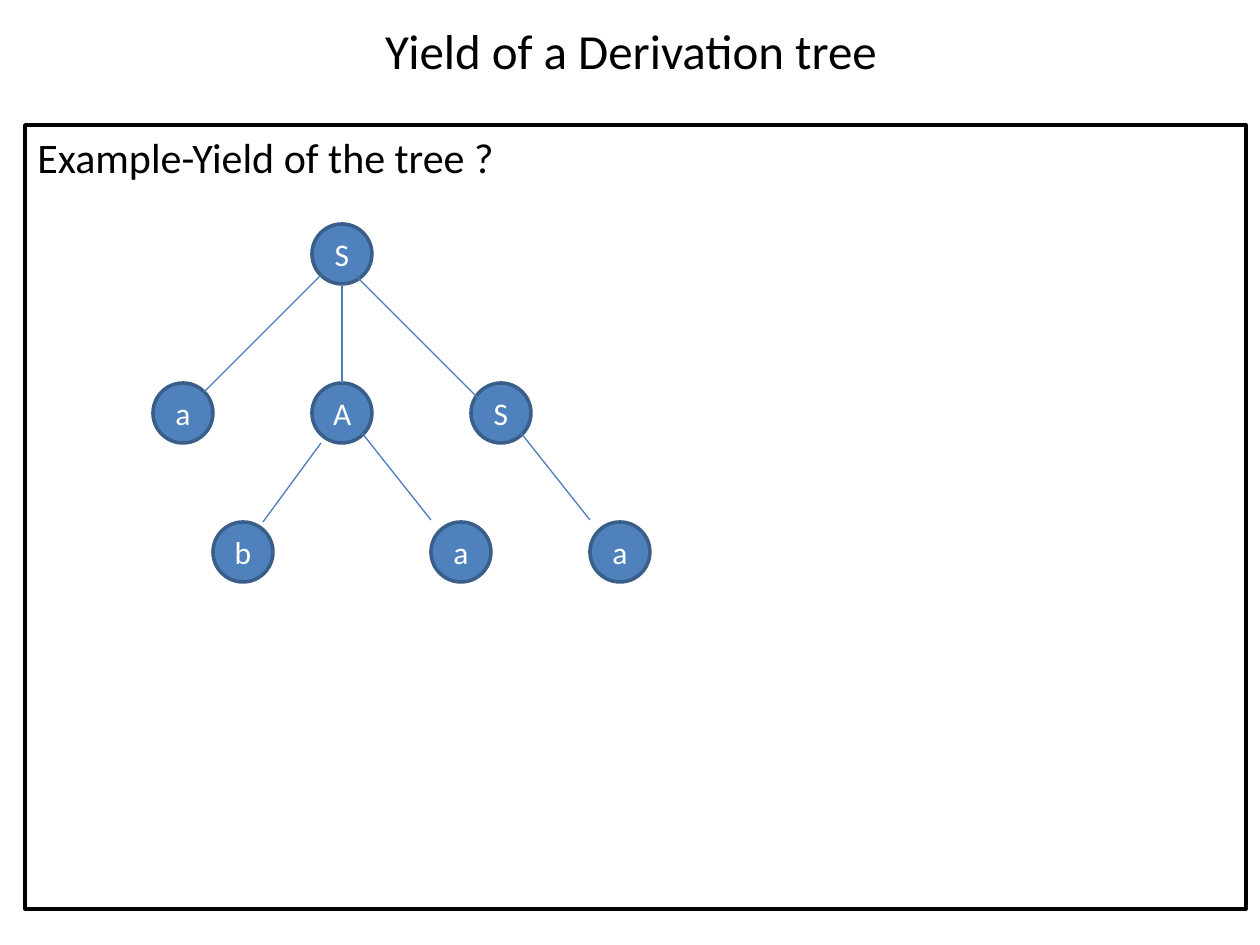
"""Build a slide that asks for the yield of a derivation tree."""
import pptx
import pptx.dml.color
import pptx.enum.shapes
import pptx.enum.text
import pptx.oxml
import pptx.util

SCALE = 914400 // 126
THEME = {
    "font": "Calibri", "ink": "000000", "paper": "FFFFFF",
    "node": "4F81BD", "rim": "395E89", "edge": "4A7DBA",
    "title": 28, "body": 24, "label": 18, "border": 2, "thin": 0.75,
}
TITLE = ("Yield of a Derivation tree", (64, 16, 1134, 68))
BODY = ("Example-Yield of the tree ?", (25, 125, 1221, 784))

DIAMETER = 60
ROWS = (254, 413, 552)
NODES = {
    "root": ("S", 342, 0),
    "left": ("a", 183, 1),
    "middle": ("A", 342, 1),
    "right": ("S", 501, 1),
    "middle_b": ("b", 243, 2),
    "middle_a": ("a", 461, 2),
    "right_a": ("a", 620, 2),
}
EDGES = [
    ("root", "left", (-21, 21), (21, -21)),
    ("root", "right", (13, 21), (-20, -12)),
    ("root", "middle", (0, 30), (0, -30)),
    ("middle", "middle_b", (-21, 30), (20, -30)),
    ("middle", "middle_a", (20, 20), (-30, -32)),
    ("right", "right_a", (20, 20), (-30, -32)),
]

SHAPE = pptx.enum.shapes.MSO_SHAPE
ALIGN = pptx.enum.text.PP_ALIGN
ANCHOR = pptx.enum.text.MSO_ANCHOR


def px(*values):
    return [round(v * SCALE) for v in values]


def color(name):
    return pptx.dml.color.RGBColor.from_string(THEME[name])


def stroke(line, name, width):
    line.color.rgb = color(name)
    line.width = pptx.util.Pt(THEME[width])


def write(sp, text, size, ink, align, anchor):
    tf = sp.text_frame
    tf.word_wrap = True
    tf.vertical_anchor = anchor
    p = tf.paragraphs[0]
    p.alignment = align
    r = p.add_run()
    r.text = text
    fmt = {"name": THEME["font"], "size": pptx.util.Pt(THEME[size])}
    for key, value in fmt.items():
        setattr(r.font, key, value)
    r.font.color.rgb = color(ink)


def add_box(s, kind, box, fill, line):
    sp = s.shapes.add_shape(kind, *px(*box))
    sp.shadow.inherit = False
    sp.fill.solid()
    sp.fill.fore_color.rgb = color(fill)
    stroke(sp.line, line, "border")
    return sp


def add_node(s, label, x, row):
    radius = DIAMETER / 2
    box = (x - radius, ROWS[row] - radius, DIAMETER, DIAMETER)
    sp = add_box(s, SHAPE.OVAL, box, "node", "rim")
    write(sp, label, "label", "paper", ALIGN.CENTER, ANCHOR.MIDDLE)


def end_point(node, offset):
    _, x, row = NODES[node]
    return x + offset[0], ROWS[row] + offset[1]


def add_edge(s, parent, child, start, end):
    points = px(*end_point(parent, start), *end_point(child, end))
    cx = s.shapes.add_connector(pptx.enum.shapes.MSO_CONNECTOR.STRAIGHT, *points)
    stroke(cx.line, "edge", "thin")
    cx._element.spPr.append(pptx.oxml.parse_xml(
        '<a:effectLst xmlns:a="http://schemas.openxmlformats.org/drawingml/2006/main"/>'))


def main():
    prs = pptx.Presentation()
    prs.slide_width, prs.slide_height = px(1260, 945)
    s = prs.slides.add_slide(prs.slide_layouts[6])

    text, box = TITLE
    write(s.shapes.add_textbox(*px(*box)), text, "title", "ink",
          ALIGN.CENTER, ANCHOR.MIDDLE)
    text, box = BODY
    write(add_box(s, SHAPE.RECTANGLE, box, "paper", "ink"), text, "body", "ink",
          ALIGN.LEFT, ANCHOR.TOP)

    for node in NODES.values():
        add_node(s, *node)
    for edge in EDGES:
        add_edge(s, *edge)
    prs.save("out.pptx")


if __name__ == "__main__":
    main()
